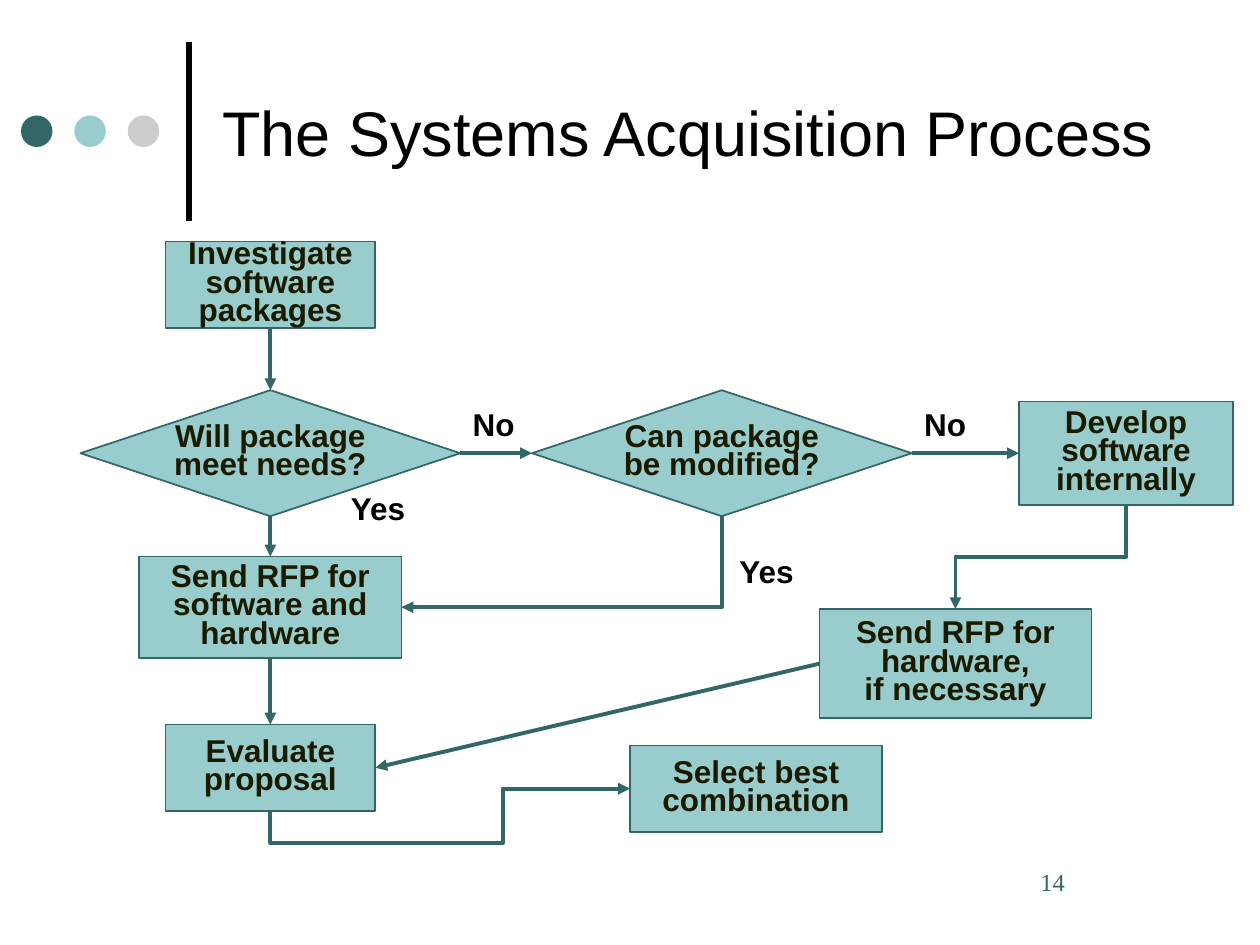
import lxml.etree
import pptx
import pptx.dml.color
import pptx.enum.shapes
import pptx.enum.text
import pptx.oxml.ns
import pptx.util

Pt = pptx.util.Pt
RGBColor = pptx.dml.color.RGBColor
SHAPE = pptx.enum.shapes.MSO_SHAPE
CONNECTOR = pptx.enum.shapes.MSO_CONNECTOR
ANCHOR = pptx.enum.text.MSO_ANCHOR
ALIGN = pptx.enum.text.PP_ALIGN

BLACK = RGBColor(0x00, 0x00, 0x00)
DARK_TEAL = RGBColor(0x33, 0x66, 0x66)
LIGHT_TEAL = RGBColor(0x99, 0xCC, 0xCC)
GREY = RGBColor(0xCC, 0xCC, 0xCC)
NODE_TEXT = RGBColor(0x1A, 0x1A, 0x00)

TITLE_FONT = {"name": "Arial", "size": Pt(36), "color": BLACK}
NODE_FONT = {"name": "Arial", "size": Pt(18), "bold": True, "color": NODE_TEXT}
LABEL_FONT = {**NODE_FONT, "color": BLACK}
NUMBER_FONT = {"name": "Times New Roman", "size": Pt(14), "color": DARK_TEAL}

# Connection sites shared by rectangles and diamonds
TOP, LEFT, BOTTOM, RIGHT = range(4)

# name: (shape, centre x, top, width, height, lines)
NODES = {
    "investigate": (SHAPE.RECTANGLE, 108.5, 0, 120, 49.5, "Investigate\nsoftware\npackages"),
    "needs": (SHAPE.DIAMOND, 108.5, 85, 217, 72, "Will package\nmeet needs?"),
    "modify": (SHAPE.DIAMOND, 366.5, 85, 217, 72, "Can package\nbe modified?"),
    "develop": (SHAPE.RECTANGLE, 597.5, 91.5, 122.5, 59, "Develop\nsoftware\ninternally"),
    "send_both": (SHAPE.RECTANGLE, 108.5, 180, 150, 58, "Send RFP for\nsoftware and\nhardware"),
    "send_hardware": (SHAPE.RECTANGLE, 500, 210, 155.5, 62.5,
                      "Send RFP for\nhardware,\nif necessary"),
    "evaluate": (SHAPE.RECTANGLE, 108.5, 276, 120, 49.5, "Evaluate\nproposal"),
    "select": (SHAPE.RECTANGLE, 386, 288, 144, 49.5, "Select best\ncombination"),
}
STRAIGHT_ARROWS = [
    ("investigate", BOTTOM, "needs", TOP),
    ("needs", BOTTOM, "send_both", TOP),
    ("send_both", BOTTOM, "evaluate", TOP),
    ("needs", RIGHT, "modify", LEFT),
    ("modify", RIGHT, "develop", LEFT),
    ("send_hardware", LEFT, "evaluate", RIGHT),
]
# Each leaves the bottom of its first node: from, to, side, preset, adjustments
BENT_ARROWS = [
    ("modify", "send_both", RIGHT, "bentConnector2", []),
    ("develop", "send_hardware", TOP, "bentConnector3", [50000]),
    ("evaluate", "select", LEFT, "bentConnector4", [-142500, 64600]),
]
LABELS = [("No", 206, 90), ("No", 464, 90), ("Yes", 362, 174), ("Yes", 140, 138)]


def add_element(parent, tag, **attributes):
    return lxml.etree.SubElement(parent, pptx.oxml.ns.qn(tag), **attributes)


def set_font(font, values):
    for name, value in values.items():
        if name == "color":
            font.color.rgb = value
        else:
            setattr(font, name, value)


def write_text(shape, text, font, align=ALIGN.LEFT, anchor=ANCHOR.TOP, wrap=True, spacing=None):
    frame = shape.text_frame
    frame.word_wrap = wrap
    frame.vertical_anchor = anchor
    frame.text = text
    for paragraph in frame.paragraphs:
        paragraph.alignment = align
        paragraph.line_spacing = spacing
        set_font(paragraph.runs[0].font, font)


def add_text(slide, box, text, font, **layout):
    shape = slide.shapes.add_textbox(*map(Pt, box))
    write_text(shape, text, font, **layout)
    return shape


def add_filled(slide, kind, box, fill, line=None):
    shape = slide.shapes.add_shape(kind, *map(Pt, box))
    shape.shadow.inherit = False
    shape.fill.solid()
    shape.fill.fore_color.rgb = fill
    if line is None:
        shape.line.fill.background()
    else:
        shape.line.color.rgb = line
        shape.line.width = Pt(1)
    return shape


def add_line(slide, start, end, color, width, arrow=False):
    line = slide.shapes.add_connector(CONNECTOR.STRAIGHT, *start, *end)
    line.line.color.rgb = color
    line.line.width = Pt(width)
    properties = line._element.spPr
    if arrow:
        add_element(properties.find(pptx.oxml.ns.qn("a:ln")), "a:tailEnd", type="triangle")
    add_element(properties, "a:effectLst")
    return line


def side_point(shape, side):
    middle_x = shape.left + shape.width // 2
    middle_y = shape.top + shape.height // 2
    return {
        TOP: (middle_x, shape.top),
        LEFT: (shape.left, middle_y),
        BOTTOM: (middle_x, shape.top + shape.height),
        RIGHT: (shape.left + shape.width, middle_y),
    }[side]


def add_bent_arrow(slide, start, end, preset, adjustments):
    """Elbow arrow that leaves its start vertically: a preset turned by 90 degrees."""
    line = add_line(slide, start, end, DARK_TEAL, 2.25, arrow=True)
    across, down = end[0] - start[0], end[1] - start[1]
    line.width, line.height = abs(down), abs(across)
    line.left = (start[0] + end[0] - line.width) // 2
    line.top = (start[1] + end[1] - line.height) // 2
    transform = line._element.spPr.find(pptx.oxml.ns.qn("a:xfrm"))
    for name, value in {"rot": 90 * 60000, "flipH": int(down < 0), "flipV": int(across > 0)}.items():
        transform.set(name, str(value))
    geometry = line._element.spPr.find(pptx.oxml.ns.qn("a:prstGeom"))
    geometry.set("prst", preset)
    guides = geometry.find(pptx.oxml.ns.qn("a:avLst"))
    for number, value in enumerate(adjustments, 1):
        add_element(guides, "a:gd", name=f"adj{number}", fmla=f"val {value}")


def add_header(slide, box):
    left, top, width, height = box
    # Dots and vertical rule
    for index, color in enumerate((DARK_TEAL, LIGHT_TEAL, GREY)):
        add_filled(slide, SHAPE.OVAL, (left + index * 30.5, top + 51, 18, 18), color)
    rule_x = Pt(left + 96)
    add_line(slide, (rule_x, Pt(top + 111)), (rule_x, Pt(top + 9)), BLACK, 3)
    # Title
    add_text(slide, (left + 108, top, width - 108, height),
             "The Systems Acquisition Process", TITLE_FONT, anchor=ANCHOR.MIDDLE)


def add_flowchart(slide, box):
    left, top = box[:2]
    # Steps and decisions
    shapes = {}
    for name, (kind, centre, offset, width, height, text) in NODES.items():
        node_box = (left + centre - width / 2, top + offset, width, height)
        shapes[name] = add_filled(slide, kind, node_box, LIGHT_TEAL, DARK_TEAL)
        write_text(shapes[name], text, NODE_FONT, align=ALIGN.CENTER,
                   anchor=ANCHOR.MIDDLE, wrap=False, spacing=0.75)
    # Arrows
    for source, source_side, target, target_side in STRAIGHT_ARROWS:
        arrow = add_line(slide, side_point(shapes[source], source_side),
                         side_point(shapes[target], target_side), DARK_TEAL, 2.25, arrow=True)
        arrow.begin_connect(shapes[source], source_side)
        arrow.end_connect(shapes[target], target_side)
    for source, target, side, preset, adjustments in BENT_ARROWS:
        add_bent_arrow(slide, side_point(shapes[source], BOTTOM),
                       side_point(shapes[target], side), preset, adjustments)
    # Answers
    for text, x, y in LABELS:
        add_text(slide, (left + x, top + y, 60, 29), text, LABEL_FONT, align=ALIGN.CENTER)


def add_page_number(slide, box):
    shape = add_text(slide, box, "14", NUMBER_FONT)
    shape.text_frame.margin_left = Pt(24.5)


def main():
    presentation = pptx.Presentation()
    presentation.slide_width, presentation.slide_height = Pt(720), Pt(540)
    slide = presentation.slides.add_slide(presentation.slide_layouts[6])
    add_header(slide, (12, 15, 660, 120))
    add_flowchart(slide, (46, 138, 659, 346))
    add_page_number(slide, (570, 492, 102, 36))
    presentation.save("out.pptx")


if __name__ == "__main__":
    main()
